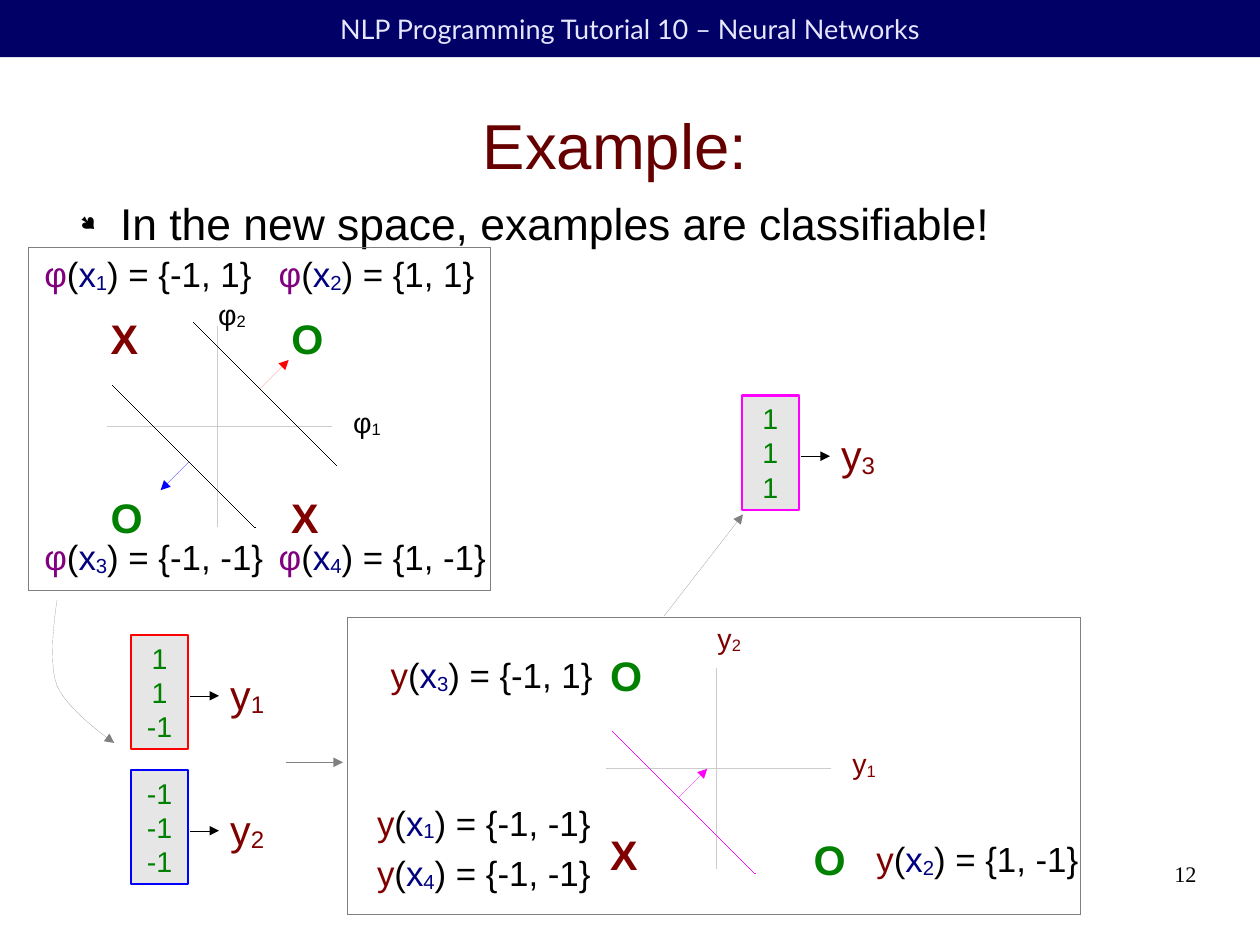
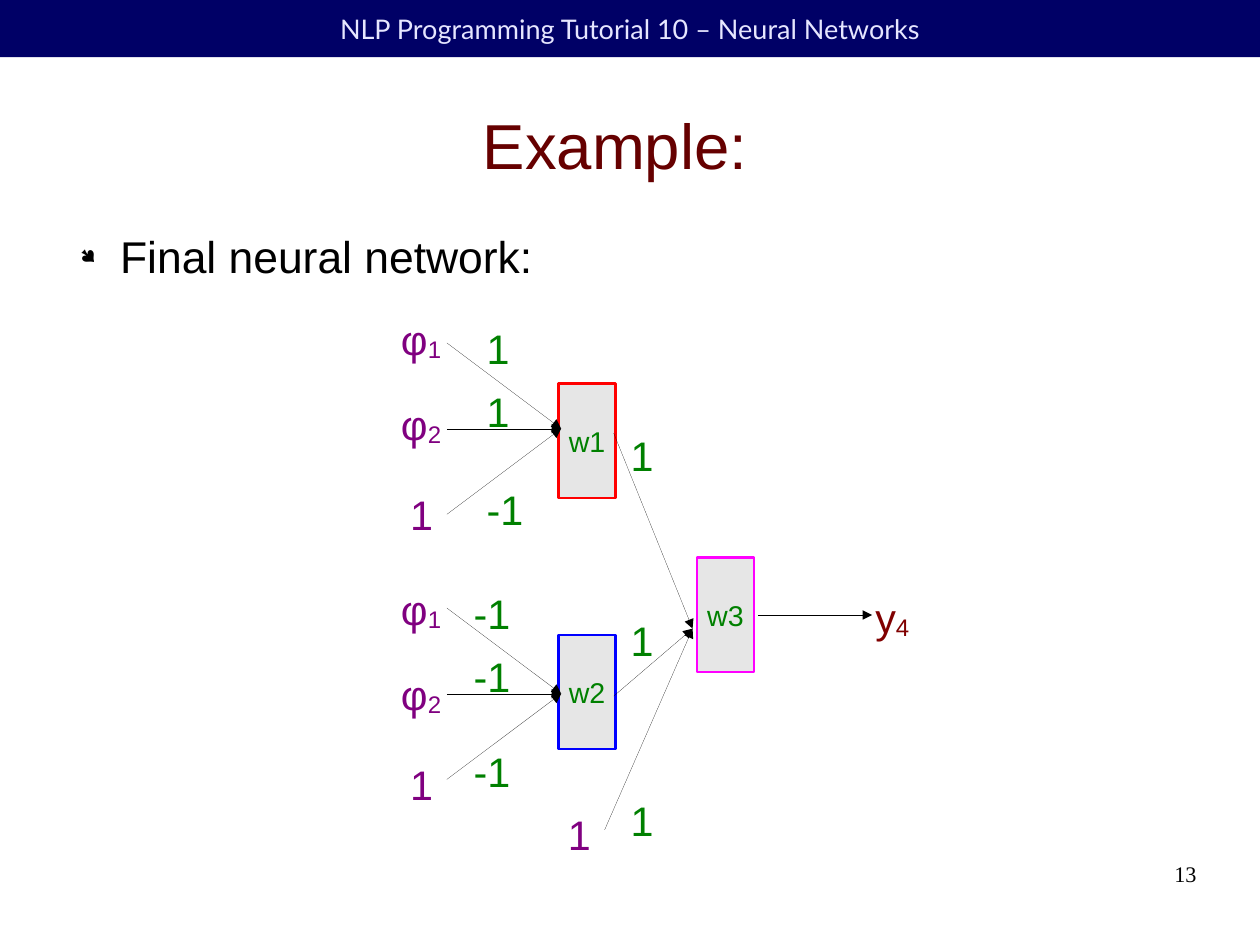
from dataclasses import dataclass

from pptx import Presentation
from pptx.dml.color import RGBColor
from pptx.enum.shapes import MSO_CONNECTOR, MSO_SHAPE
from pptx.enum.text import MSO_ANCHOR, PP_ALIGN
from pptx.oxml.ns import qn
from pptx.oxml.xmlchemy import OxmlElement
from pptx.util import Pt

Point = tuple[float, float]


@dataclass(frozen=True)
class Theme:
    navy: str = "000066"
    lavender: str = "E6E6FF"
    wine: str = "660000"
    maroon: str = "800000"
    green: str = "008000"
    purple: str = "800080"
    indigo: str = "000080"
    black: str = "000000"
    grey: str = "808080"
    axis: str = "CCCCCC"
    node: str = "E6E6E6"
    red: str = "FF0000"
    blue: str = "0000FF"
    magenta: str = "FF00FF"
    font: str = "Arial"
    header_font: str = "Lato"
    number_font: str = "Times New Roman"
    title: float = 40
    body: float = 28
    symbol: float = 26
    formula: float = 22
    small: float = 18
    header: float = 17
    number: float = 14


T = Theme()
WIDTH, HEIGHT = 793.7, 595.28
NODE_WIDTH, NODE_HEIGHT = 36, 72
SUBSCRIPT_SCALE = 0.58
ADVANCES = {"-": 0.333, "(": 0.333, ")": 0.333, "{": 0.334, "}": 0.334, " ": 0.278,
            ",": 0.278, "=": 0.584, "x": 0.5, "y": 0.5, "φ": 0.648, "X": 0.667, "O": 0.778}
DIGIT_ADVANCE = 0.556


@dataclass(frozen=True)
class Piece:
    text: str
    color: str
    sub: bool = False


@dataclass(frozen=True)
class Label:
    left: float
    top: float
    pieces: tuple[Piece, ...]
    size: float = T.symbol
    bold: bool = False


@dataclass(frozen=True)
class Neuron:
    left: float
    top: float
    lines: tuple[str, ...]
    border: str


@dataclass(frozen=True)
class InputLayer:
    junction: float
    input_tops: tuple[float, ...]
    weight_left: float
    weight_tops: tuple[float, ...]
    weights: tuple[str, ...]


def style(run, size: float, color: str, font: str = T.font, bold: bool = False) -> None:
    run.font.size = Pt(size)
    run.font.name = font
    run.font.bold = bold
    run.font.color.rgb = RGBColor.from_string(color)


def set_margins(frame, across: float, down: float) -> None:
    frame.margin_left = frame.margin_right = Pt(across)
    frame.margin_top = frame.margin_bottom = Pt(down)


def add_line_of_text(slide, box, text: str, size: float, color: str, font: str = T.font,
                     align=PP_ALIGN.LEFT, anchor=MSO_ANCHOR.TOP):
    frame = slide.shapes.add_textbox(*map(Pt, box)).text_frame
    frame.word_wrap = True
    frame.vertical_anchor = anchor
    set_margins(frame, 0, 0)
    frame.text = text
    frame.paragraphs[0].alignment = align
    style(frame.paragraphs[0].runs[0], size, color, font)
    return frame.paragraphs[0]


def add_bullet(paragraph) -> None:
    properties = paragraph._p.get_or_add_pPr()
    properties.set("marL", str(Pt(33.84)))
    properties.set("indent", str(Pt(-25.2)))
    for tag, attributes in (("a:buSzPct", {"val": "45000"}),
                            ("a:buFont", {"typeface": "Wingdings", "charset": "2"}),
                            ("a:buChar", {"char": "●"})):
        element = OxmlElement(tag)
        for key, setting in attributes.items():
            element.set(key, setting)
        properties.append(element)


def add_frame(slide, heading: str, heading_top: float, number: str) -> None:
    band = slide.shapes.add_shape(MSO_SHAPE.RECTANGLE, 0, 0, Pt(WIDTH), Pt(36))
    band.shadow.inherit = False
    band.fill.solid()
    band.fill.fore_color.rgb = RGBColor.from_string(T.navy)
    band.line.fill.background()
    band.text_frame.text = "NLP Programming Tutorial 10 – Neural Networks"
    band.text_frame.paragraphs[0].alignment = PP_ALIGN.CENTER
    style(band.text_frame.paragraphs[0].runs[0], T.header, T.lavender, T.header_font)
    add_line_of_text(slide, (36, 45, 714, 91.4), "Example: ", T.title, T.wine,
                     align=PP_ALIGN.CENTER, anchor=MSO_ANCHOR.MIDDLE)
    add_bullet(add_line_of_text(slide, (41.8, heading_top, 714.2, 31), heading, T.body, T.black))
    add_line_of_text(slide, (568.8, 542.2, 185, 41), number, T.number, T.black,
                     T.number_font, PP_ALIGN.RIGHT)


def plain(text: str, color: str) -> tuple[Piece, ...]:
    return (Piece(text, color),)


def indexed(letter: str, index: int, color: str) -> tuple[Piece, ...]:
    return Piece(letter, color), Piece(str(index), color, True)


def mapping(letter: str, color: str, index: int, values: str) -> tuple[Piece, ...]:
    return (Piece(letter, color), Piece("(", T.black), *indexed("x", index, T.indigo),
            Piece(f") = {{{values}}}", T.black))


def add_label(slide, label: Label) -> None:
    ems = sum(ADVANCES.get(char, DIGIT_ADVANCE) * (SUBSCRIPT_SCALE if piece.sub else 1)
              for piece in label.pieces for char in piece.text)
    box = slide.shapes.add_textbox(Pt(label.left), Pt(label.top),
                                   Pt(round(ems * label.size + 14.4, 1)),
                                   Pt(round(label.size * 1.4 + 7.2, 1)))
    frame = box.text_frame
    frame.word_wrap = False
    set_margins(frame, 7.2, 3.6)
    for piece in label.pieces:
        run = frame.paragraphs[0].add_run()
        run.text = piece.text
        style(run, label.size, piece.color, bold=label.bold)
        if piece.sub:
            run._r.get_or_add_rPr().set("baseline", "-8000")


def add_mark(slide, left: float, top: float, mark: str) -> None:
    color = T.maroon if mark == "X" else T.green
    add_label(slide, Label(left, top, plain(mark, color), bold=True))


def make_hairline(shape, color: str, arrow: bool = False) -> None:
    shape.line.color.rgb = RGBColor.from_string(color)
    outline = shape._element.spPr.find(qn("a:ln"))
    outline.set("w", "0")
    if arrow:
        tip = OxmlElement("a:tailEnd")
        tip.set("type", "triangle")
        outline.append(tip)


def add_line(slide, start: Point, end: Point, color: str, arrow: bool = False) -> None:
    line = slide.shapes.add_connector(MSO_CONNECTOR.STRAIGHT, *map(Pt, (*start, *end)))
    make_hairline(line, color, arrow)
    line._element.spPr.append(OxmlElement("a:effectLst"))


def add_neuron(slide, neuron: Neuron) -> None:
    box = slide.shapes.add_shape(MSO_SHAPE.RECTANGLE, Pt(neuron.left), Pt(neuron.top),
                                 Pt(NODE_WIDTH), Pt(NODE_HEIGHT))
    box.shadow.inherit = False
    box.fill.solid()
    box.fill.fore_color.rgb = RGBColor.from_string(T.node)
    box.line.color.rgb = RGBColor.from_string(neuron.border)
    box.line.width = Pt(1.45)
    frame = box.text_frame
    frame.word_wrap = False
    frame.vertical_anchor = MSO_ANCHOR.MIDDLE
    set_margins(frame, 7.9, 4.3)
    frame.text = "\n".join(neuron.lines)
    for paragraph in frame.paragraphs:
        paragraph.alignment = PP_ALIGN.CENTER
        style(paragraph.runs[0], T.small, T.green)


def add_unit(slide, neuron: Neuron, index: int) -> None:
    add_neuron(slide, neuron)
    level = neuron.top + 38.3
    add_line(slide, (neuron.left + 37.5, level), (neuron.left + 55.5, level), T.black, True)
    add_label(slide, Label(neuron.left + 55.4, neuron.top + 18, indexed("y", index, T.maroon)))


def add_axes(slide, x: float, y: float, letter: str, color: str, vertical_label: float) -> None:
    add_line(slide, (x, y - 62.7), (x, y + 63.3), T.axis)
    add_line(slide, (x - 69.1, y), (x + 72, y), T.axis)
    add_label(slide, Label(x + 78.5, y - 17.3, indexed(letter, 1, color), T.small))
    add_label(slide, Label(x - 6.5, vertical_label, indexed(letter, 2, color), T.small))


def add_boundary(slide, x: float, y: float, color: str, line_color: str, side: int) -> None:
    add_line(slide, (x, y), (x + 90, y + 90), line_color)
    offset = 45 - 3.2 * side
    start = (x + offset, y + offset)
    add_line(slide, start, (start[0] + 18 * side, start[1] - 18 * side), color, True)


def add_panel(slide, *box: float) -> None:
    panel = slide.shapes.add_shape(MSO_SHAPE.RECTANGLE, *map(Pt, box))
    panel.shadow.inherit = False
    panel.fill.background()
    make_hairline(panel, T.grey)


def bezier(a: Point, b: Point, c: Point, d: Point, steps: int = 12) -> list[Point]:
    def at(t: float, axis: int) -> float:
        u = 1 - t
        return u**3 * a[axis] + 3 * u * u * t * b[axis] + 3 * u * t * t * c[axis] + t**3 * d[axis]
    return [(at(i / steps, 0), at(i / steps, 1)) for i in range(1, steps + 1)]


def add_curved_arrow(slide) -> None:
    start, middle, end = (36, 378), (36, 432), (72, 468)
    points = bezier(start, start, (29.5, 416.2), middle) + bezier(middle, (42.5, 447.8), end, end)
    builder = slide.shapes.build_freeform(Pt(start[0]), Pt(start[1]))
    builder.add_line_segments([(Pt(x), Pt(y)) for x, y in points], close=False)
    curve = builder.convert_to_shape()
    curve.shadow.inherit = False
    curve.fill.background()
    make_hairline(curve, T.grey, True)


def build_new_space(slide) -> None:
    add_frame(slide, "In the new space, examples are classifiable!", 123.8, "12")
    for left, top, mark in ((62.6, 193.7, "X"), (62.6, 306.7, "O"), (176.4, 193.7, "O"),
                            (176.4, 306.7, "X"), (377.3, 519.1, "X"), (505.4, 522, "O"),
                            (377.3, 406.1, "O")):
        add_mark(slide, left, top, mark)
    add_axes(slide, 136.8, 268.6, "φ", T.black, 183.6)
    add_axes(slide, 451.4, 483.8, "y", T.maroon, 387.4)
    for left, top, letter, color, index, values in (
            (20.9, 155.5, "φ", T.purple, 1, "-1, 1"), (168.5, 155.5, "φ", T.purple, 2, "1, 1"),
            (20.9, 334.1, "φ", T.purple, 3, "-1, -1"), (168.5, 334.1, "φ", T.purple, 4, "1, -1"),
            (230.4, 501.1, "y", T.maroon, 1, "-1, -1"), (545, 524.2, "y", T.maroon, 2, "1, -1"),
            (239, 408.2, "y", T.maroon, 3, "-1, 1"), (230.4, 532.8, "y", T.maroon, 4, "-1, -1")):
        add_label(slide, Label(left, top, mapping(letter, color, index, values), T.formula))
    for index, neuron in enumerate((Neuron(82.5, 400, ("1", "1", "-1"), T.red),
                                    Neuron(82.5, 485, ("-1", "-1", "-1"), T.blue),
                                    Neuron(467.3, 249.1, ("1", "1", "1"), T.magenta)), 1):
        add_unit(slide, neuron, index)
    add_boundary(slide, 122, 203, T.red, T.black, 1)
    add_boundary(slide, 71, 242.6, T.blue, T.black, -1)
    add_boundary(slide, 385.7, 460.5, T.magenta, T.magenta, 1)
    add_panel(slide, 18, 156.2, 290.9, 216)
    add_panel(slide, 219.2, 388.8, 461.5, 187)
    add_curved_arrow(slide)
    add_line(slide, (180, 480.2), (216, 480.2), T.grey, True)
    add_line(slide, (418.3, 388.1), (468, 324), T.grey, True)


def add_inputs(slide, layer: InputLayer) -> None:
    inputs = (indexed("φ", 1, T.purple), indexed("φ", 2, T.purple), plain("1", T.purple))
    for row, pieces in enumerate(inputs):
        left = 245.5 if len(pieces) > 1 else 251.3
        add_label(slide, Label(left, layer.input_tops[row], pieces))
        add_line(slide, (281.5, layer.junction + 54 * (row - 1)), (353.5, layer.junction),
                 T.black, True)
        add_label(slide, Label(layer.weight_left, layer.weight_tops[row],
                               plain(layer.weights[row], T.green)))


def build_final_network(slide) -> None:
    add_frame(slide, "Final neural network:", 144, "13")
    for neuron in (Neuron(351.8, 241.6, ("w1",), T.red), Neuron(351.8, 400, ("w2",), T.blue),
                   Neuron(439, 351.2, ("w3",), T.magenta)):
        add_neuron(slide, neuron)
    add_inputs(slide, InputLayer(270, (194.4, 247.7, 304.6), 299.5, (200.2, 239.8, 301.7),
                                 ("1", "1", "-1")))
    add_inputs(slide, InputLayer(437, (364.3, 418, 474.5), 291.3, (367, 406.5, 466.3),
                                 ("-1", "-1", "-1")))
    for start, weight_top in (((386.6, 272.9), 267.8), ((386.6, 438.5), 384.2),
                              ((380.9, 522.7), 497.3)):
        add_line(slide, start, (436.3, 396), T.black, True)
        add_label(slide, Label(390.2, weight_top, plain("1", T.green)))
    add_label(slide, Label(350.6, 506, plain("1", T.purple)))
    add_line(slide, (477.4, 387.4), (549.4, 387.4), T.black, True)
    add_label(slide, Label(544.3, 369.4, indexed("y", 4, T.maroon)))


def main() -> None:
    deck = Presentation()
    deck.slide_width, deck.slide_height = Pt(WIDTH), Pt(HEIGHT)
    for build in (build_new_space, build_final_network):
        build(deck.slides.add_slide(deck.slide_layouts[6]))
    deck.save("out.pptx")


if __name__ == "__main__":
    main()
